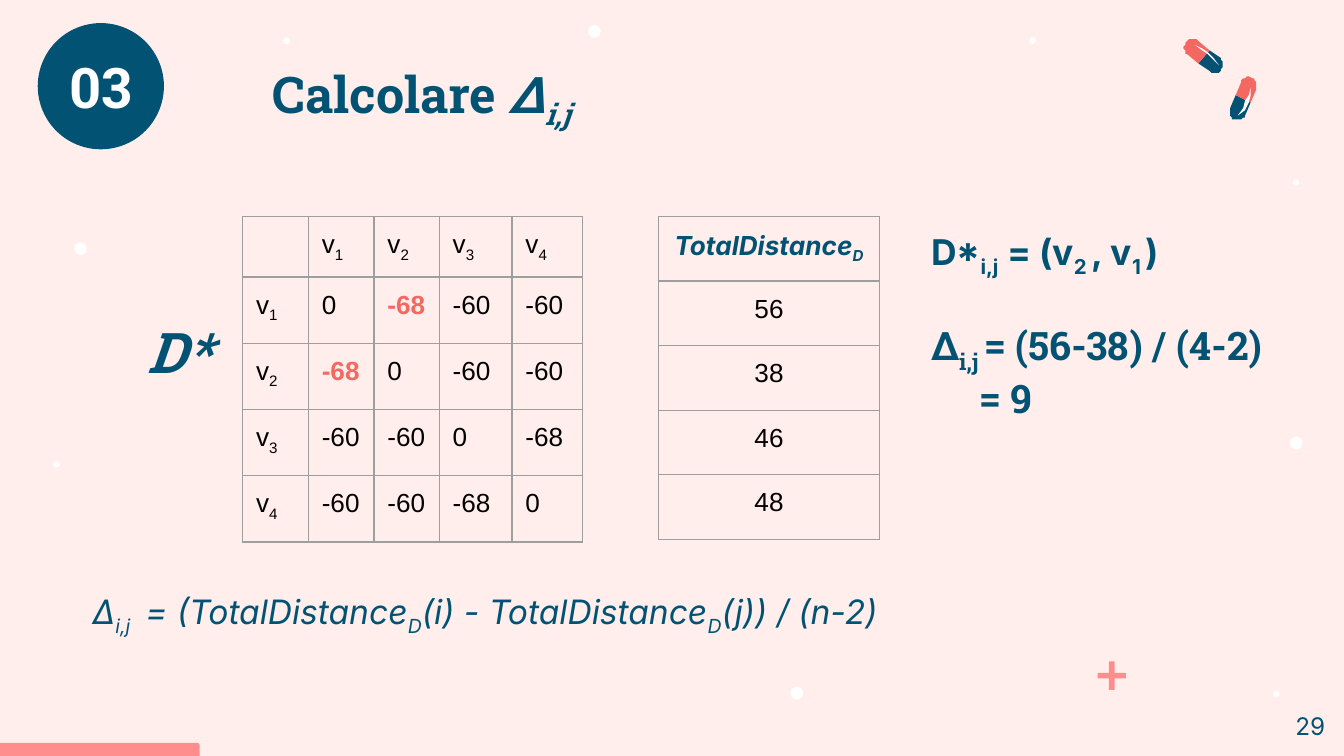
from math import cos, pi, radians, sin

from lxml.etree import SubElement
from pptx import Presentation
from pptx.dml.color import RGBColor
from pptx.enum.shapes import MSO_SHAPE as Preset
from pptx.enum.text import MSO_ANCHOR as Anchor, PP_ALIGN as Align
from pptx.oxml import parse_xml
from pptx.oxml.ns import nsdecls, qn
from pptx.util import Pt

BLUSH = RGBColor(0xFF, 0xEE, 0xEB)
TEAL = RGBColor(0x02, 0x53, 0x73)
CORAL = RGBColor(0xF4, 0x68, 0x62)
PINK = RGBColor(0xFF, 0x8D, 0x8D)
WHITE = RGBColor(0xFF, 0xFF, 0xFF)
BLACK = RGBColor(0, 0, 0)
GREY = RGBColor(0x9E, 0x9E, 0x9E)
SLAB, INTER, ARIAL = "Roboto Slab", "Inter", "Arial"


def paint(shape, color):
    shape.fill.solid()
    shape.fill.fore_color.rgb = color
    shape.line.fill.background()
    shape.shadow.inherit = False


def write(para, text, name, size, color, bold=False, italic=False, align=Align.LEFT):
    """Every second piece between bars is a subscript."""
    font = para.font
    font.name, font.size, font.bold, font.italic = name, Pt(size), bold, italic
    font.color.rgb = color
    para.alignment = align
    for number, piece in enumerate(text.split("|")):
        if piece:
            span = para.add_run()
            span.text = piece
            if number % 2:
                span._r.get_or_add_rPr().set("baseline", "-25000")


deck = Presentation()
deck.slide_width, deck.slide_height = Pt(720), Pt(405)
slide = deck.slides.add_slide(deck.slide_layouts[6])
slide.background.fill.solid()
slide.background.fill.fore_color.rgb = BLUSH
shapes = slide.shapes

# Background dots: left, top, diameter
for left, top, size in [
    (682, 370, 3.5), (691, 234, 6.8), (28.5, 247, 3.5), (39.8, 129.8, 6.8), (315, 13.4, 6.8),
    (551.5, 20, 3.5), (692.6, 96, 3.5), (423.5, 368, 6.8), (151.8, 20.2, 3.5),
]:
    paint(shapes.add_shape(Preset.OVAL, Pt(left), Pt(top), Pt(size), Pt(size)), WHITE)

# Plus sign, bottom bar and section disc
plus = shapes.add_shape(Preset.CROSS, Pt(588), Pt(354.4), Pt(15.2), Pt(15.2))
plus.adjustments[0] = 0.4
paint(plus, PINK)
bar = shapes.add_shape(Preset.ROUNDED_RECTANGLE, Pt(-0.5), Pt(398), Pt(107.5), Pt(9))
bar.adjustments[0] = 0.15
paint(bar, PINK)
paint(shapes.add_shape(Preset.OVAL, Pt(20.2), Pt(12.4), Pt(67.6), Pt(67.6)), TEAL)

# Pills, drawn along their axis and then turned about the seam
RADIUS, BODY = 4.6, 7.5
dark_half = [(0, RADIUS), (0, -RADIUS)]
for step in range(13):
    turn = -pi / 2 + pi * step / 12
    dark_half.append((BODY + RADIUS * cos(turn), RADIUS * sin(turn)))
red_half = [(-along, across) for along, across in dark_half]
shine = [(-7.2, -1.8), (-3, -2.8), (0.7, -3.2), (5, -2.6), (9.7, -1), (5, -1.5), (1, -1.7), (-3, -1.9)]
for center_x, center_y, degrees in [(644.8, 30.2, 37), (666, 52.9, 112)]:
    cosine, sine = cos(radians(degrees)), sin(radians(degrees))
    for outline, color in [(dark_half, TEAL), (red_half, CORAL), (shine, WHITE)]:
        points = [
            (center_x + along * cosine - across * sine, center_y + along * sine + across * cosine)
            for along, across in outline
        ]
        builder = shapes.build_freeform(*points[0], scale=Pt(1))
        builder.add_line_segments(points[1:], close=True)
        paint(builder.convert_to_shape(), color)

# Tables: left, column widths, row heights, cell texts, highlighted cells
labels = ["v|1", "v|2", "v|3", "v|4"]
distances = [
    ["0", "-68", "-60", "-60"],
    ["-68", "0", "-60", "-60"],
    ["-60", "-60", "0", "-68"],
    ["-60", "-60", "-68", "0"],
]
matrix = [[""] + labels] + [[label] + row for label, row in zip(labels, distances)]
totals = [["TotalDistance|D"], ["56"], ["38"], ["46"], ["48"]]
for left, widths, heights, texts, highlights in [
    (130, [35.2, 35.2, 35, 39, 37.6], [32] + [35.5] * 4, matrix, {(1, 2), (2, 1)}),
    (352.8, [118.4], [34.6] * 5, totals, set()),
]:
    frame = shapes.add_table(
        len(heights), len(widths), Pt(left), Pt(116), Pt(sum(widths)), Pt(sum(heights)))
    table = frame.table
    table.first_row = table.horz_banding = False
    for column, width in zip(table.columns, widths):
        column.width = Pt(width)
    for row, height in zip(table.rows, heights):
        row.height = Pt(height)
    for r, line in enumerate(texts):
        for c, text in enumerate(line):
            cell = table.cell(r, c)
            cell.margin_left = cell.margin_right = cell.margin_top = cell.margin_bottom = Pt(7.2)
            cell.fill.background()
            para = cell.text_frame.paragraphs[0]
            align = Align.CENTER if len(widths) == 1 else Align.LEFT
            if text.startswith("Total"):
                write(para, text, INTER, 14, TEAL, True, True, align)
            else:
                marked = (r, c) in highlights
                write(para, text, ARIAL, 14, CORAL if marked else BLACK, marked, align=align)
            for place, side in enumerate(["lnL", "lnR", "lnT", "lnB"]):
                border = parse_xml(f'<a:{side} {nsdecls("a")} w="{Pt(0.75)}"/>')
                fill = SubElement(border, qn("a:solidFill"))
                SubElement(fill, qn("a:srgbClr")).set("val", str(GREY))
                cell._tc.get_or_add_tcPr().insert(place, border)

# Text boxes: left, top, width, height, anchor, then lines of
# text, font, size, color, bold, italic, alignment, indent, space before
for left, top, width, height, anchor, lines in [
    (103, 30.2, 538.6, 44, Anchor.MIDDLE,
     [("Calcolare ||Δ|i,j", SLAB, 27, TEAL, True, False, Align.LEFT, 36, 0)]),
    (68.4, 162.7, 55.4, 51, Anchor.TOP,
     [("D*", SLAB, 30, TEAL, True, True, Align.CENTER, 0, 0)]),
    (18, 27.4, 72, 37.4, Anchor.MIDDLE,
     [("03", SLAB, 30, WHITE, True, False, Align.CENTER, 0, 0)]),
    (674, 373.7, 43, 31, Anchor.TOP,
     [("29", INTER, 13, TEAL, False, False, Align.RIGHT, 0, 0)]),
    (491.8, 116, 222, 111.6, Anchor.TOP,
     [("D*|i,j| = (v|2 |, v|1 |)", INTER, 19, TEAL, True, False, Align.LEFT, 0, 0),
      ("Δ|i,j |= (56-38) / (4-2)", SLAB, 21, TEAL, True, False, Align.LEFT, 0, 23),
      ("= 9", SLAB, 21, TEAL, True, False, Align.LEFT, 26, 0)]),
    (42.5, 309.6, 634, 44, Anchor.TOP,
     [("Δ|i,j | = (TotalDistance|D|(i) - TotalDistance|D|(j)) / (n-2)",
       INTER, 18, TEAL, False, True, Align.LEFT, 0, 0)]),
]:
    box = shapes.add_textbox(Pt(left), Pt(top), Pt(width), Pt(height))
    body = box.text_frame
    body.word_wrap = True
    body.vertical_anchor = anchor
    body.margin_left = body.margin_right = body.margin_top = body.margin_bottom = Pt(7.2)
    for number, (*style, indent, before) in enumerate(lines):
        para = body.add_paragraph() if number else body.paragraphs[0]
        write(para, *style)
        para.space_before = Pt(before)
        para._p.get_or_add_pPr().set("marL", str(Pt(indent)))
        if style[0].startswith("Calcolare"):
            for span in para.runs[1:]:
                span.font.italic = True

deck.save("out.pptx")
